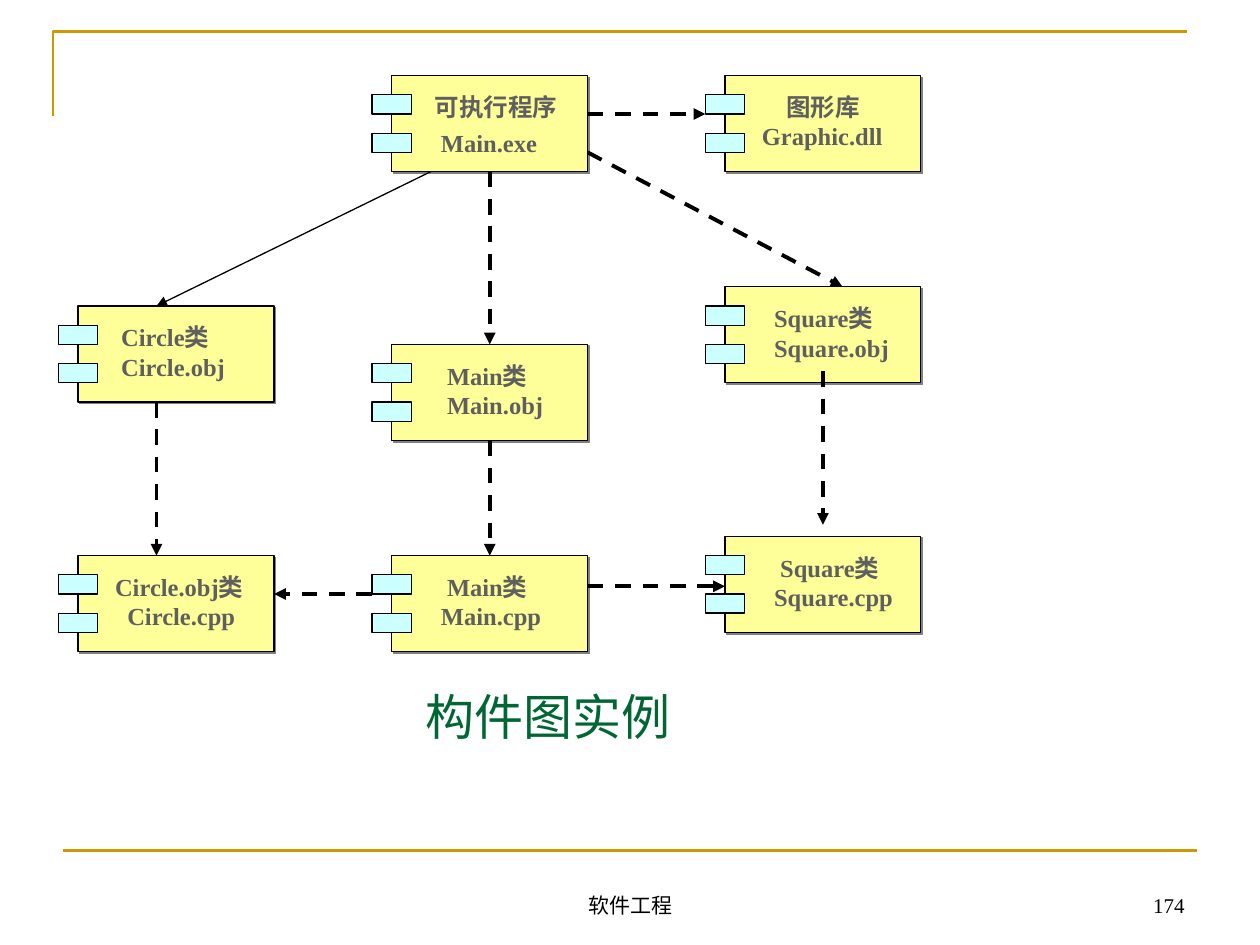
from typing import NamedTuple

from lxml.etree import SubElement
from pptx import Presentation
from pptx.dml.color import RGBColor as Rgb
from pptx.enum.dml import MSO_LINE_DASH_STYLE as Dash
from pptx.enum.shapes import MSO_CONNECTOR as Conn, MSO_SHAPE as Kind
from pptx.enum.text import MSO_ANCHOR as Anchor, MSO_AUTO_SIZE as Auto, PP_ALIGN as Align
from pptx.oxml.ns import qn
from pptx.util import Inches as In, Pt

WIDE, HIGH = In(10), In(7.5)
LEFT, TOP = In(0.62), In(0.6)
COL, ROW = In(1.4 / 9), In(3.2 / 21)
GOLD, INK, GRAY = "CC9900", "000000", "5F5F5F"
SERIF = "Times New Roman"
SPACE = 3.5


class Part(NamedTuple):
    """A component: grid cell, then each line with its indent in spaces."""
    col: float
    row: float
    name: str
    pad: int
    file: str
    inset: int
    gap: float = 0


class Link(NamedTuple):
    """An arrow between two grid points."""
    x: float
    y: float
    to_x: float
    to_y: float
    dash: bool = True


PARTS = [
    Part(0, 25, "Circle.obj类", 4, "Circle.cpp", 6),
    Part(16, 14, "Main类", 7, "Main.obj", 7),
    Part(16, 25, "Main类", 7, "Main.cpp", 6),
    Part(33, 0, "图形库", 8, "Graphic.dll", 4),
    Part(33, 24, "Square类", 7, "Square.cpp", 6),
    Part(33, 11, "Square类", 6, "Square.obj", 6),
    Part(0, 12, "Circle类", 5, "Circle.obj", 5),
    Part(16, 0, "可执行程序", 5, "Main.exe", 6, 3.5),
]
LINKS = [
    Link(18, 5, 4, 12, False),
    Link(26, 2, 32, 2),
    Link(21, 5, 21, 14),
    Link(26, 4, 39, 11),
    Link(4, 17, 4, 25),
    Link(21, 19, 21, 25),
    Link(15, 27, 10, 27),
    Link(26, 26.6, 33, 26.6),
    Link(38, 15.4, 38, 23.4),
]


def tint(code: str) -> Rgb:
    """Turn a hex string into a colour."""
    return Rgb.from_string(code)


def spot(col: float, row: float) -> tuple[int, int]:
    """Find a grid point on the slide."""
    return int(LEFT + col * COL), int(TOP + row * ROW)


def write(para, text: str, *, size: float = 12, face: str = SERIF, hue: str = INK,
          bold: bool = False, align=Align.LEFT, lead: float = 1, gap: float = 0,
          pad: float = 0) -> None:
    """Fill a paragraph with formatted text."""
    props = para._p.get_or_add_pPr()
    props.set("marL", str(Pt(pad)))
    props.set("indent", "0")
    para.alignment, para.line_spacing = align, lead
    para.space_before = Pt(gap)
    run = para.add_run()
    run.text = text
    font = run.font
    font.size, font.name, font.bold = Pt(size), face, bold
    font.color.rgb = tint(hue)


def block(slide, col: float, row: float, cols: float, rows: float, fill: str):
    """Draw an outlined rectangle on the grid."""
    box = slide.shapes.add_shape(Kind.RECTANGLE, *spot(col, row),
                                 int(cols * COL), int(rows * ROW))
    box.shadow.inherit = False
    box.fill.solid()
    box.fill.fore_color.rgb = tint(fill)
    box.line.color.rgb = tint(INK)
    box.line.width = Pt(0.75)
    return box


def shade(box) -> None:
    """Give a shape a small hard shadow."""
    fx = box._element.spPr.find(qn("a:effectLst"))
    cast = SubElement(fx, qn("a:outerShdw"), dist=str(Pt(1.4)), dir="2700000",
                      algn="ctr", rotWithShape="0")
    SubElement(cast, qn("a:srgbClr"), val="808080")


def place(slide, part: Part) -> None:
    """Draw a component with its two lugs."""
    box = block(slide, part.col, part.row, 10, 5, "FFFF99")
    shade(box)
    frame = box.text_frame
    frame.word_wrap = True
    frame.vertical_anchor = Anchor.TOP
    look = dict(size=14, hue=GRAY, bold=True)
    write(frame.paragraphs[0], part.name, lead=1.35, pad=part.pad * SPACE, **look)
    write(frame.add_paragraph(), part.file, gap=part.gap, pad=part.inset * SPACE, **look)
    for step in (1, 3):
        block(slide, part.col - 1, part.row + step, 2, 1, "CCFFFF")


def rule(slide, start: tuple, end: tuple, hue: str, width: float):
    """Draw a plain straight line."""
    line = slide.shapes.add_connector(Conn.STRAIGHT, *start, *end)
    line.line.color.rgb = tint(hue)
    line.line.width = Pt(width)
    SubElement(line._element.spPr, qn("a:effectLst"))
    return line


def join(slide, link: Link) -> None:
    """Draw an arrow between components."""
    line = rule(slide, spot(link.x, link.y), spot(link.to_x, link.to_y),
                INK, 2.25 if link.dash else 0.75)
    if link.dash:
        line.line.dash_style = Dash.DASH
    SubElement(line.line._get_or_add_ln(), qn("a:tailEnd"), type="triangle")


def trim(slide) -> None:
    """Draw the corner frame and the foot rule."""
    x, y = int(WIDE * 0.042), In(0.25)
    pen = slide.shapes.build_freeform(x, In(0.92))
    pen.add_line_segments([(x, y), (x + In(9), y)], close=False)
    edge = pen.convert_to_shape()
    edge.shadow.inherit = False
    edge.fill.background()
    edge.line.color.rgb = tint(GOLD)
    edge.line.width = Pt(1.5)
    foot = int(HIGH * 0.9)
    rule(slide, (int(WIDE * 0.05), foot), (int(WIDE * 0.95), foot), GOLD, 1.5)


def label(slide, left: float, width: float, text: str, align) -> None:
    """Write a text at the foot of the slide."""
    frame = slide.shapes.add_textbox(In(left), In(6.83), In(width), In(0.5)).text_frame
    frame.word_wrap = True
    frame.vertical_anchor = Anchor.BOTTOM
    write(frame.paragraphs[0], text, align=align)


def head(slide) -> None:
    """Move and fill the title."""
    title = slide.shapes.title
    title.left, title.top, title.width, title.height = In(3.28), In(5.45), In(3.22), In(0.83)
    frame = title.text_frame
    frame.auto_size, frame.word_wrap = Auto.NONE, True
    frame.vertical_anchor = Anchor.TOP
    write(frame.paragraphs[0], "构件图实例", size=28, face="Arial", hue="006633", lead=0.9)


def main() -> None:
    """Build and save the slide."""
    deck = Presentation()
    deck.slide_width, deck.slide_height = WIDE, HIGH
    slide = deck.slides.add_slide(deck.slide_layouts[5])
    trim(slide)
    for part in PARTS:
        place(slide, part)
    for link in LINKS:
        join(slide, link)
    head(slide)
    label(slide, 3.42, 3.17, "软件工程", Align.CENTER)
    label(slide, 7.17, 2.33, "174", Align.RIGHT)
    deck.save("out.pptx")


if __name__ == "__main__":
    main()
